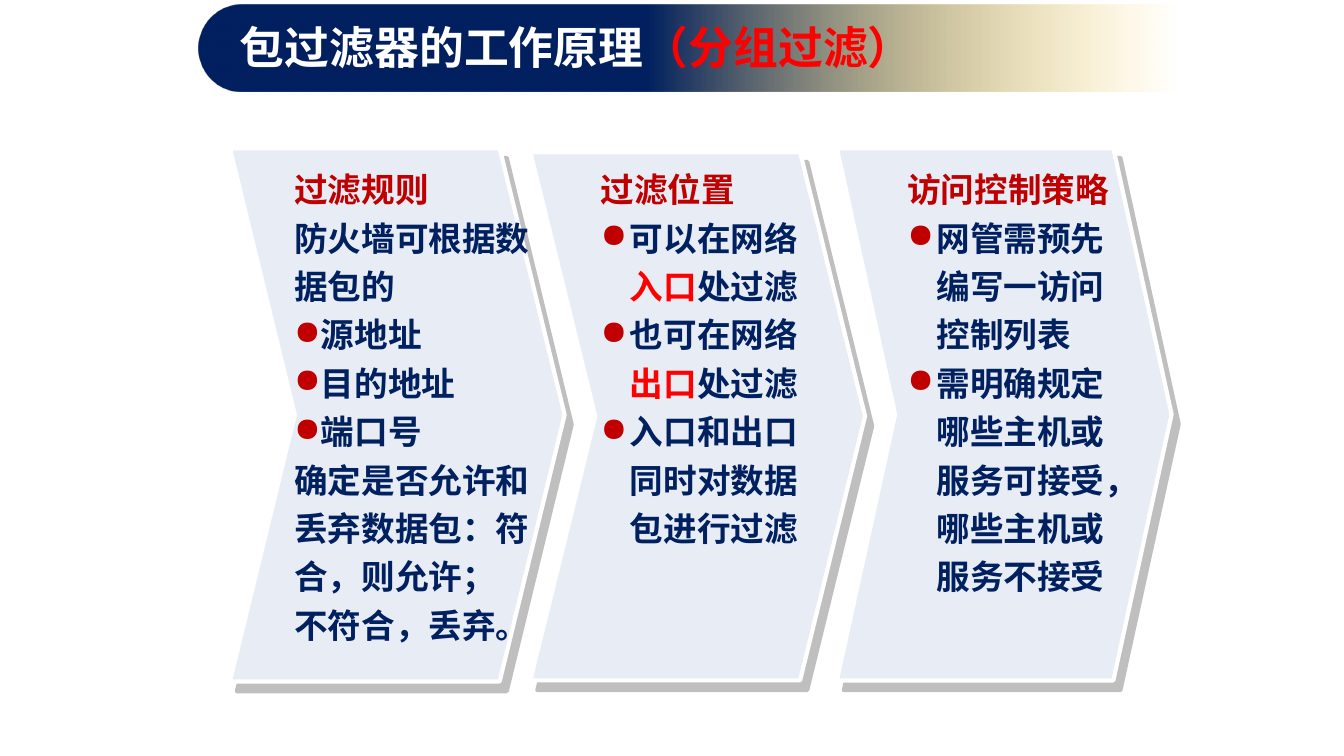
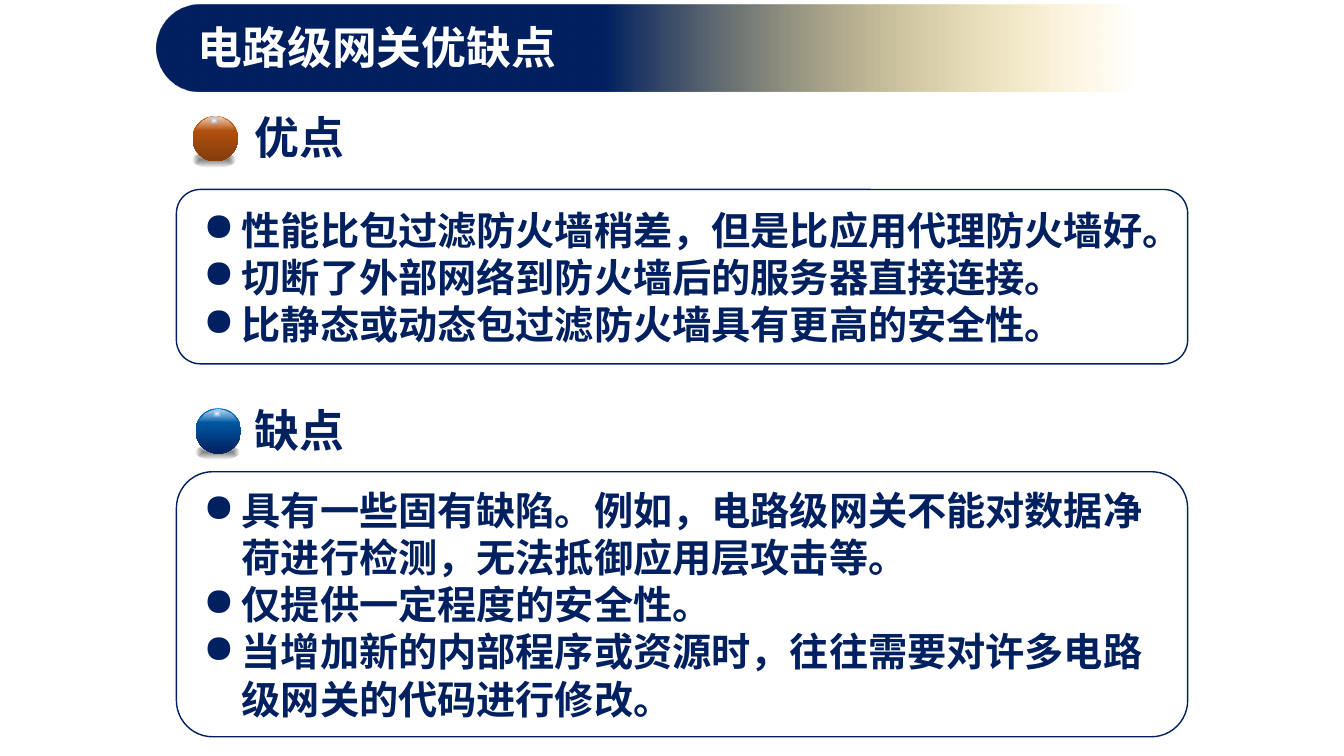
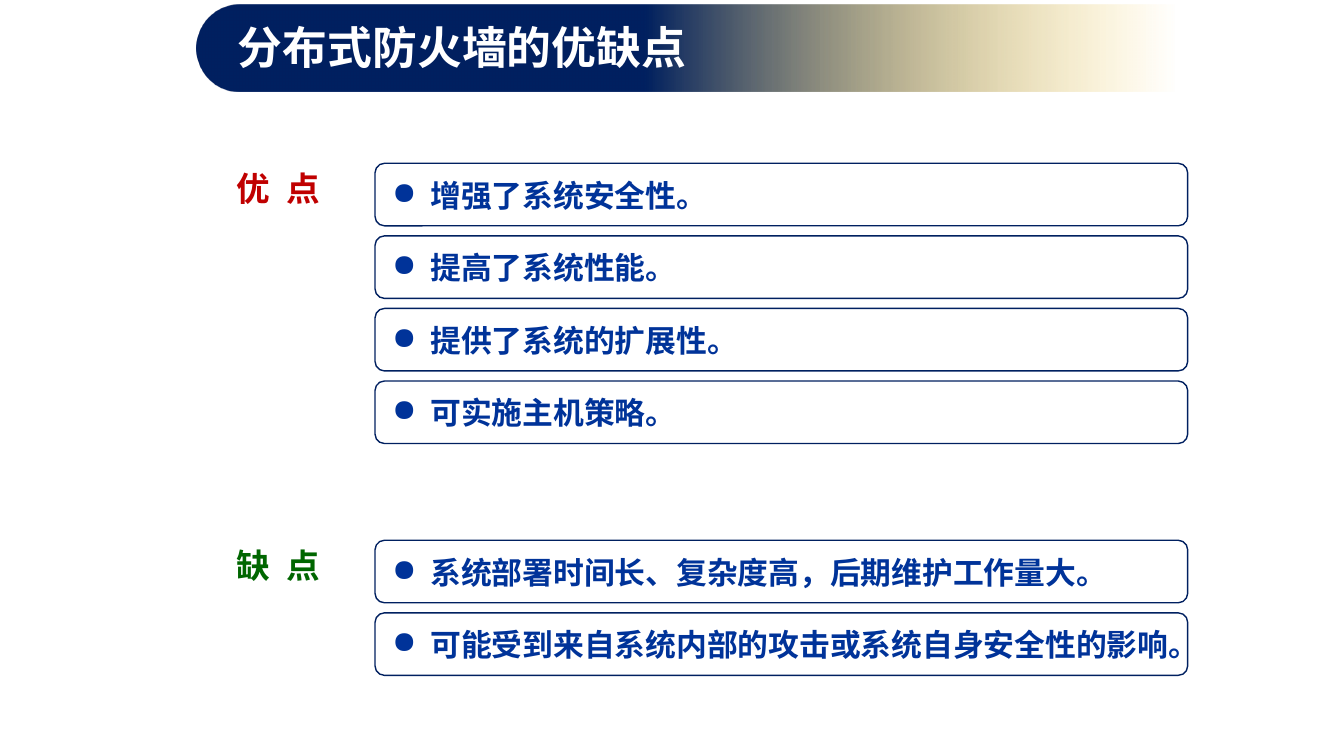
import math

from lxml import etree
from pptx import Presentation
from pptx.dml.color import RGBColor
from pptx.enum import shapes as kinds, text as t
from pptx.oxml import parse_xml
from pptx.oxml.ns import nsdecls, qn
from pptx.util import Inches, Pt

COLORS = {
    "navy": "002060", "gold": "FFC000", "white": "FFFFFF", "black": "000000",
    "red": "FF0000", "crimson": "C00000", "green": "006600", "blue": "003399",
    "panel": "E7ECF5", "shadow": "808080", "sky": "0070C0",
    "orange": "C55A11", "brown": "843C0B", "glint": "67ABF5",
}
CJK = "Noto Sans CJK SC"
LATIN = "Times New Roman"
OVAL = kinds.MSO_SHAPE.OVAL
ROUNDED = kinds.MSO_SHAPE.ROUNDED_RECTANGLE


def rgb(name):
    return RGBColor.from_string(COLORS[name])


def add_line(frame, content, size=24, color="navy", font=LATIN, bullet=None,
             indent=0, spacing=None, align=t.PP_ALIGN.LEFT, tracking=None):
    first = frame.paragraphs[0]
    para = frame.add_paragraph() if first.runs else first
    if bullet:
        props = para._p.get_or_add_pPr()
        props.set("marL", str(Inches(indent)))
        props.set("indent", str(-Inches(indent)))
        tint = etree.SubElement(props, qn("a:buClr"))
        etree.SubElement(tint, qn("a:srgbClr")).set("val", COLORS[bullet])
        etree.SubElement(props, qn("a:buChar")).set("char", "●")
    para.alignment = align
    if spacing:
        para.line_spacing = spacing
    runs = [(content, color)] if isinstance(content, str) else content
    for words, tone in runs:
        run = para.add_run()
        run.text = words
        run.font.size = Pt(size)
        run.font.bold = True
        run.font.name = font
        run.font.color.rgb = rgb(tone)
        props = run._r.get_or_add_rPr()
        etree.SubElement(props, qn("a:ea")).set("typeface", CJK)
        if tracking:
            props.set("spc", str(tracking))


def add_box(slide, left, top, width, height, anchor=t.MSO_ANCHOR.TOP):
    box = slide.shapes.add_textbox(Inches(left), Inches(top), Inches(width), Inches(height))
    frame = box.text_frame
    frame.word_wrap = True
    frame.auto_size = t.MSO_AUTO_SIZE.SHAPE_TO_FIT_TEXT
    frame.vertical_anchor = anchor
    return frame


def add_form(slide, kind, left, top, width, height, adjust=None):
    form = slide.shapes.add_shape(kind, Inches(left), Inches(top), Inches(width), Inches(height))
    form.shadow.inherit = False
    form.line.fill.background()
    if adjust is not None:
        form.adjustments[0] = adjust
    return form


def fill_gradient(form, stops, angle=None):
    marks = "".join(
        f'<a:gs pos="{pos * 1000}"><a:srgbClr val="{COLORS[name]}">'
        f'<a:alpha val="{alpha * 1000}"/></a:srgbClr></a:gs>'
        for pos, name, alpha in stops)
    if angle is None:
        course = ('<a:path path="shape"><a:fillToRect l="50000" t="50000" '
                  'r="50000" b="50000"/></a:path>')
    else:
        course = f'<a:lin ang="{angle * 60000}" scaled="0"/>'
    form._element.spPr.insert(2, parse_xml(
        f'<a:gradFill {nsdecls("a")} rotWithShape="1"><a:gsLst>{marks}</a:gsLst>'
        f'{course}</a:gradFill>'))


def add_title(slide, left, content, width=6.63):
    band = add_form(slide, ROUNDED, left, 0.05, 10.55, 0.86, 0.5)
    fill_gradient(band, [(42, "navy", 100), (92, "gold", 0)], 0)
    title = slide.shapes.title
    title.left, title.top = Inches(left + 0.31), Inches(0.15)
    title.width, title.height = Inches(width), Inches(0.64)
    frame = title.text_frame
    frame.word_wrap = True
    frame.auto_size = t.MSO_AUTO_SIZE.NONE
    frame.vertical_anchor = t.MSO_ANCHOR.TOP
    add_line(frame, content, size=32, color="white", font=CJK)
    slide.shapes._spTree.append(title._element)


def add_card(slide, left, top, width, height, adjust=0.137):
    card = add_form(slide, ROUNDED, left, top, width, height, adjust)
    card.fill.solid()
    card.fill.fore_color.rgb = rgb("white")
    tint = card._element.spPr.find(qn("a:solidFill")).find(qn("a:srgbClr"))
    etree.SubElement(tint, qn("a:alpha")).set("val", "90000")
    card.line.color.rgb = rgb("navy")
    card.line.width = Pt(1)


def add_chevron(slide, left, top, height, adjust, inset, text_width, heading, lines):
    chevron = add_form(slide, kinds.MSO_SHAPE.CHEVRON, left, top, 3.32, height, adjust)
    chevron.fill.solid()
    chevron.fill.fore_color.rgb = rgb("panel")
    chevron.line.color.rgb = rgb("white")
    chevron.line.width = Pt(3)
    effects = chevron._element.spPr.find(qn("a:effectLst"))
    effects.append(parse_xml(
        f'<a:outerShdw {nsdecls("a")} blurRad="0" dist="{Pt(8.6)}" dir="{54 * 60000}" '
        f'algn="ctr" rotWithShape="0"><a:srgbClr val="{COLORS["shadow"]}">'
        '<a:alpha val="50000"/></a:srgbClr></a:outerShdw>'))
    frame = add_box(slide, left + inset, 1.55, text_width, height - 0.5)
    add_line(frame, heading, color="crimson", spacing=1.2)
    for content, bullet, indent in lines:
        add_line(frame, content, bullet=bullet, indent=indent, spacing=1.2)


def add_ball(slide, left, top, light, dark):
    ground = add_form(slide, OVAL, left, top + 0.36, 0.43, 0.15)
    fill_gradient(ground, [(0, "black", 50), (100, "black", 0)])
    ball = add_form(slide, OVAL, left, top, 0.45, 0.45)
    fill_gradient(ball, [(0, light, 100), (100, dark, 100)], 90)

    radius, half_angle, steps = 0.21, 65, 26
    angles = [math.radians(-half_angle + 2 * half_angle * i / steps) for i in range(steps + 1)]
    arc = [(Inches(left + 0.22 + radius * math.sin(a)),
            Inches(top + 0.01 + radius * (1 - math.cos(a)))) for a in angles]
    builder = slide.shapes.build_freeform(*arc[0])
    builder.add_line_segments(arc[1:], close=True)
    gloss = builder.convert_to_shape()
    gloss.shadow.inherit = False
    gloss.line.fill.background()
    fill_gradient(gloss, [(0, "white", 75), (100, "white", 0)], 90)

    glint = add_form(slide, OVAL, left + 0.17, top + 0.01, 0.09, 0.08)
    fill_gradient(glint, [(0, "white", 100), (100, "glint", 0)])


def add_section(slide, label_top, ball, shades, card_top, card_height, points):
    add_ball(slide, *ball, *shades)
    label, card_left, card_width = points[0], 1.75, 10.03
    add_line(add_box(slide, 2.43, label_top, 1.33, 0.64), label, size=32)
    add_card(slide, card_left, card_top, card_width, card_height)
    frame = add_box(slide, card_left + 0.17, card_top + 0.1, card_width - 0.17,
                    card_height - 0.2, t.MSO_ANCHOR.MIDDLE)
    for point in points[1:]:
        add_line(frame, point, size=28, bullet="navy", indent=0.38)


def add_rows(slide, top, label, label_color, points):
    left, pitch, height = 3.72, 0.72, 0.62
    add_line(add_box(slide, 1.91, top, 1.7, 0.5), label, color=label_color,
             align=t.PP_ALIGN.CENTER, tracking=300)
    for i, point in enumerate(points):
        row_top = top + i * pitch
        add_card(slide, left, row_top, 8.06, height, 0.15)
        add_line(add_box(slide, left + 0.07, row_top + 0.08, 8.25, 0.47), point,
                 size=22, color="blue", bullet="blue", indent=0.38)


def build_principle(slide):
    add_title(slide, 1.97, [("包过滤器的工作原理", "white"), ("（分组过滤）", "red")], 8.36)
    mark, hang = "crimson", 0.29
    add_chevron(slide, 2.28, 1.47, 5.29, 0.194, 0.54, 2.53, "过滤规则", [
        ("防火墙可根据数据包的", None, 0),
        ("源地址", mark, 0),
        ("目的地址", mark, 0),
        ("端口号", mark, 0),
        ("确定是否允许和丢弃数据包：符合，则允许；", None, 0),
        ("不符合，丢弃。", None, 0),
    ])
    add_chevron(slide, 5.26, 1.51, 5.24, 0.194, 0.6, 2.34, "过滤位置", [
        ([("可以在网络", "navy"), ("入口", "red"), ("处过滤", "navy")], mark, hang),
        ([("也可在网络", "navy"), ("出口", "red"), ("处过滤", "navy")], mark, hang),
        ("入口和出口同时对数据包进行过滤", mark, hang),
    ])
    add_chevron(slide, 8.3, 1.47, 5.28, 0.174, 0.6, 2.31, "访问控制策略", [
        ("网管需预先编写一访问控制列表", mark, hang),
        ("需明确规定哪些主机或服务可接受，哪些主机或服务不接受", mark, hang),
    ])


def build_gateway(slide):
    add_title(slide, 1.55, "电路级网关优缺点")
    add_section(slide, 1.04, (1.91, 1.15), ("orange", "brown"), 1.88, 1.73, [
        "优点",
        "性能比包过滤防火墙稍差，但是比应用代理防火墙好。",
        "切断了外部网络到防火墙后的服务器直接连接。",
        "比静态或动态包过滤防火墙具有更高的安全性。",
    ])
    add_section(slide, 3.95, (1.94, 4.05), ("sky", "navy"), 4.68, 2.63, [
        "缺点",
        "具有一些固有缺陷。例如，电路级网关不能对数据净荷进行检测，无法抵御应用层攻击等。",
        "仅提供一定程度的安全性。",
        "当增加新的内部程序或资源时，往往需要对许多电路级网关的代码进行修改。",
    ])


def build_distributed(slide):
    add_title(slide, 1.95, "分布式防火墙的优缺点")
    add_rows(slide, 1.62, "优 点", "crimson", [
        "增强了系统安全性。",
        "提高了系统性能。",
        "提供了系统的扩展性。",
        "可实施主机策略。",
    ])
    add_rows(slide, 5.36, "缺 点", "green", [
        "系统部署时间长、复杂度高，后期维护工作量大。",
        "可能受到来自系统内部的攻击或系统自身安全性的影响。",
    ])


def main():
    deck = Presentation()
    deck.slide_width, deck.slide_height = Inches(13.33), Inches(7.5)
    title_only = deck.slide_layouts[5]
    for build in (build_principle, build_gateway, build_distributed):
        build(deck.slides.add_slide(title_only))
    deck.save("out.pptx")


if __name__ == "__main__":
    main()
